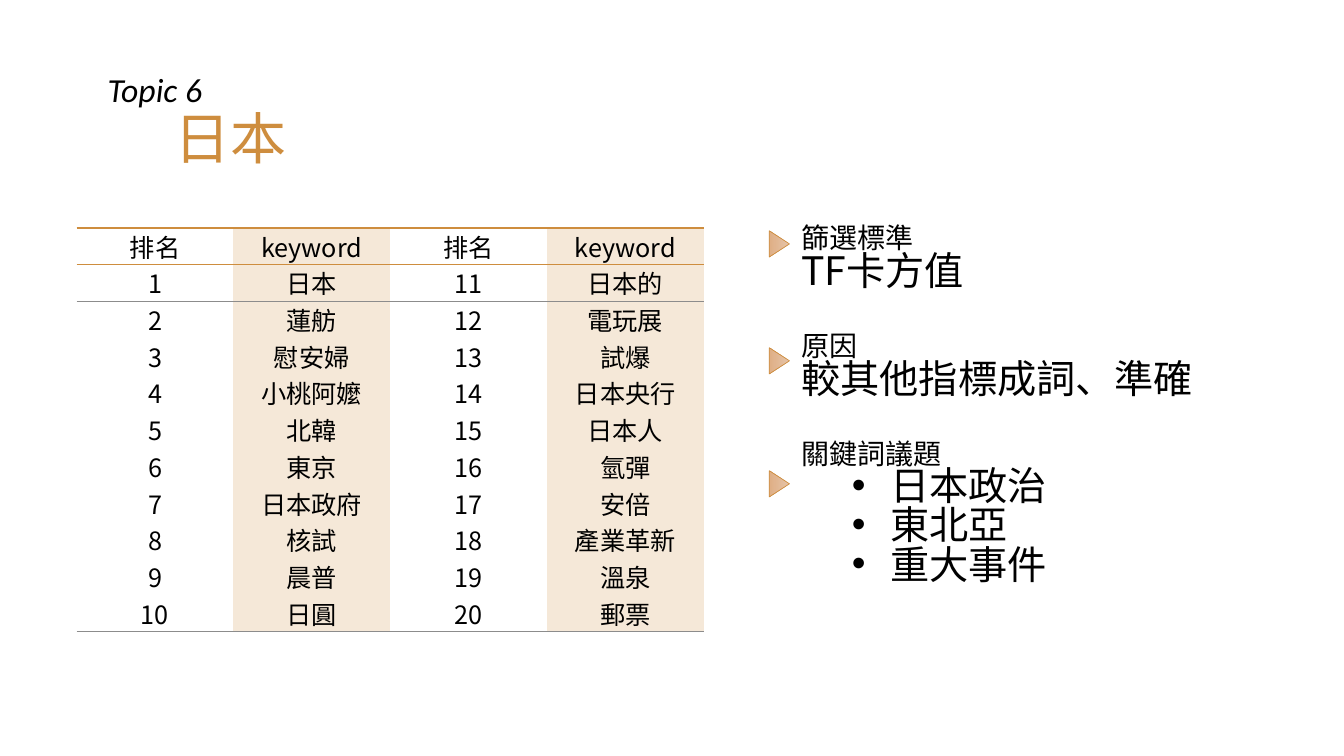
import pptx
import pptx.util
import pptx.dml.color
import pptx.enum.shapes
import pptx.enum.text
import pptx.oxml.ns
from lxml import etree

Inches, Pt = pptx.util.Inches, pptx.util.Pt
RGBColor = pptx.dml.color.RGBColor
qn = pptx.oxml.ns.qn

BLACK = RGBColor(0x00, 0x00, 0x00)
GOLD = RGBColor(0xCE, 0x8D, 0x3E)
GREY = RGBColor(0x8C, 0x8C, 0x8C)
CREAM = RGBColor(0xF5, 0xE8, 0xD8)
TAN_LIGHT = RGBColor(0xE5, 0xC3, 0xA7)
TAN_DARK = RGBColor(0xDF, 0xAF, 0x86)
LATIN, HAN = "Calibri", "Noto Sans CJK SC"

KEYWORDS = ["日本", "蓮舫", "慰安婦", "小桃阿嬤", "北韓",
            "東京", "日本政府", "核試", "晨普", "日圓",
            "日本的", "電玩展", "試爆", "日本央行", "日本人",
            "氫彈", "安倍", "產業革新", "溫泉", "郵票"]
HALF = len(KEYWORDS) // 2

# Horizontal rules of the table: line above the given row -> colour, points
RULES = {0: (GOLD, 1.5), 1: (GOLD, 1), 2: (GREY, 0.75), HALF + 1: (GREY, 0.75)}

# Heading, lines below it, whether they are bulleted
NOTES = [("篩選標準", ["TF卡方值"], False),
         ("原因", ["較其他指標成詞、準確"], False),
         ("關鍵詞議題", ["日本政治", "東北亞", "重大事件"], True)]


def style(para, size, name=HAN, color=BLACK, italic=None):
    font = para.font
    font.size, font.italic = Pt(size), italic
    font.color.rgb = color
    font.name = name
    latin = font._element.find(qn("a:latin"))
    east_asian = etree.Element(qn("a:ea"), typeface=name)
    latin.addnext(east_asian)


def add_text_box(page, left, top, width, height):
    box = page.shapes.add_textbox(
        Inches(left), Inches(top), Inches(width), Inches(height))
    box.text_frame.word_wrap = True
    return box.text_frame


def add_heading(page, left, top):
    # Topic number, with the title indented below it
    topic = add_text_box(page, left, top, 2.07, 0.5).paragraphs[0]
    topic.text = "Topic 6"
    style(topic, 24, LATIN, italic=True)
    title = add_text_box(page, left + 0.66, top + 0.42, 2.07, 0.77).paragraphs[0]
    title.text = "日本"
    title.line_spacing = 0.9
    style(title, 40, color=GOLD)


def set_borders(cell, row):
    properties = cell._tc.get_or_add_tcPr()
    sides = {"lnL": None, "lnR": None,
             "lnT": RULES.get(row), "lnB": RULES.get(row + 1)}
    for side, rule in sides.items():
        line = etree.SubElement(properties, qn("a:" + side))
        if rule is None:
            line.set("w", "0")
            etree.SubElement(line, qn("a:noFill"))
        else:
            color, width = rule
            line.set("w", str(Pt(width)))
            fill = etree.SubElement(line, qn("a:solidFill"))
            etree.SubElement(fill, qn("a:srgbClr"), val=str(color))


def add_keyword_table(page, left, top, width, height):
    rows = [["排名", "keyword"] * 2]
    for i in range(HALF):
        rows.append([str(i + 1), KEYWORDS[i],
                     str(i + 1 + HALF), KEYWORDS[i + HALF]])
    table = page.shapes.add_table(
        len(rows), len(rows[0]), Inches(left), Inches(top),
        Inches(width), Inches(height)).table
    table.first_row = table.horz_banding = False
    for r, texts in enumerate(rows):
        table.rows[r].height = Inches(height / len(rows))
        for c, text in enumerate(texts):
            cell = table.cell(r, c)
            cell.margin_left = cell.margin_right = Inches(0.01)
            cell.margin_top = cell.margin_bottom = 0
            cell.vertical_anchor = pptx.enum.text.MSO_ANCHOR.MIDDLE
            set_borders(cell, r)
            # Keyword columns are tinted
            if c % 2:
                cell.fill.solid()
                cell.fill.fore_color.rgb = CREAM
            else:
                cell.fill.background()
            para = cell.text_frame.paragraphs[0]
            para.text = text
            para.alignment = pptx.enum.text.PP_ALIGN.CENTER
            style(para, 18)


def add_bullet(para):
    properties = para._p.get_or_add_pPr()
    properties.set("marL", str(Inches(0.88)))
    properties.set("indent", str(Inches(-0.38)))
    etree.SubElement(properties, qn("a:buFont"), typeface="Arial")
    etree.SubElement(properties, qn("a:buChar"), char="•")


def add_notes(page, left, top, width, height):
    frame = add_text_box(page, left, top, width, height)
    for i, (heading, lines, bulleted) in enumerate(NOTES):
        para = frame.add_paragraph() if i else frame.paragraphs[0]
        para.text = heading
        para.line_spacing = 0.835
        if i:
            para.space_before = Pt(29)
        style(para, 20)
        for text in lines:
            para = frame.add_paragraph()
            para.text = text
            para.line_spacing = 0.835
            if bulleted:
                para.level = 1
                add_bullet(para)
            style(para, 28)


def add_markers(page, left, tops):
    for top in tops:
        marker = page.shapes.add_shape(
            pptx.enum.shapes.MSO_SHAPE.ISOSCELES_TRIANGLE,
            Inches(left), Inches(top), Inches(0.26), Inches(0.2))
        marker.rotation = 90
        marker.shadow.inherit = False
        marker.fill.gradient()
        marker.fill.gradient_angle = 270
        for stop, color in zip(marker.fill.gradient_stops, (TAN_LIGHT, TAN_DARK)):
            stop.color.rgb = color
        marker.line.color.rgb = GOLD
        marker.line.width = Pt(0.5)


def main():
    deck = pptx.Presentation()
    deck.slide_width, deck.slide_height = Inches(13.33), Inches(7.5)
    page = deck.slides.add_slide(deck.slide_layouts[6])
    add_heading(page, 0.97, 0.63)
    add_notes(page, 7.85, 2.2, 4.89, 4.27)
    add_keyword_table(page, 0.76, 2.26, 6.22, 4.01)
    add_markers(page, 7.6, (2.32, 3.48, 4.7))
    deck.save("out.pptx")


if __name__ == "__main__":
    main()
